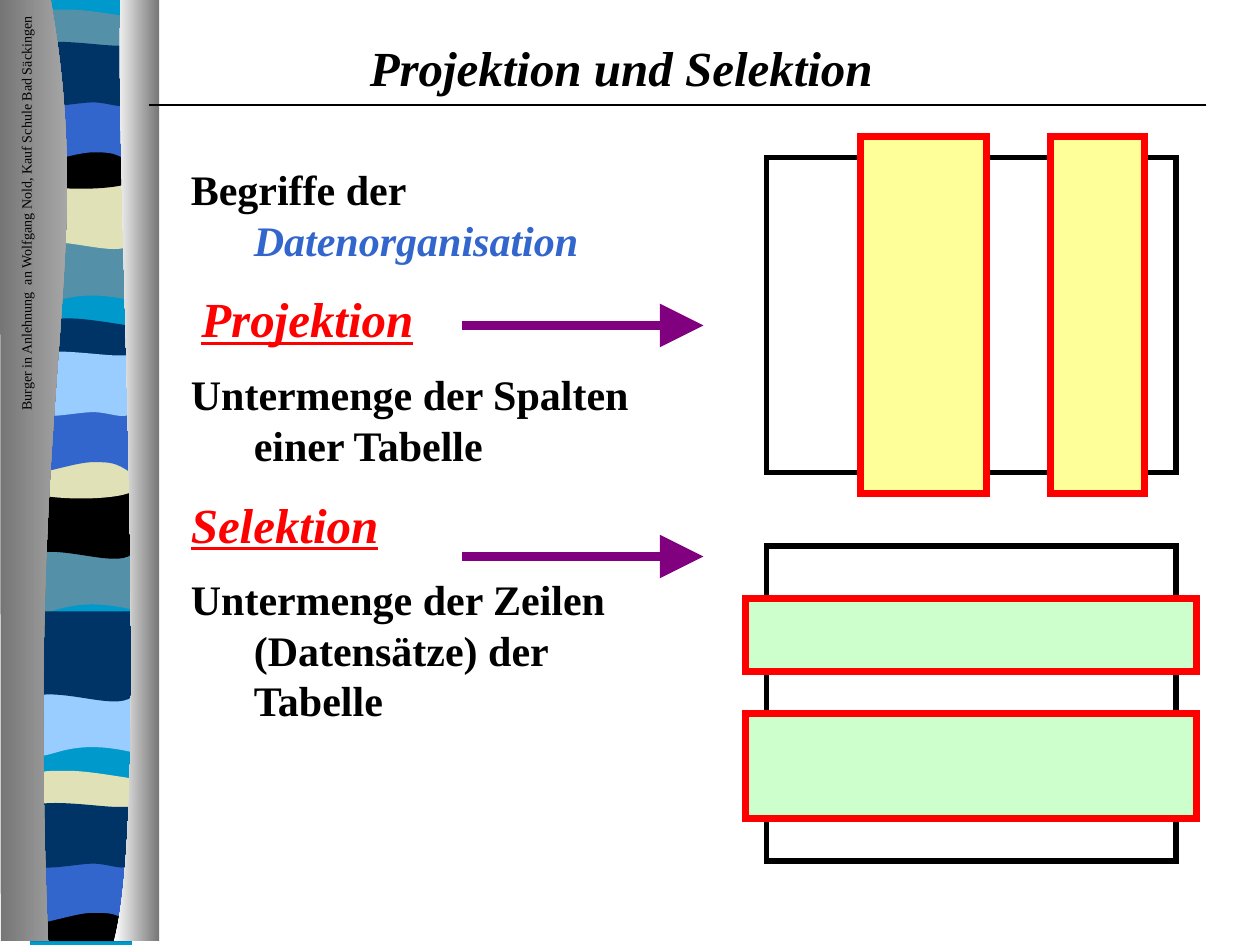
from lxml import etree
from pptx import Presentation
from pptx.dml.color import RGBColor as RGB
from pptx.enum.shapes import MSO_CONNECTOR as CONN, MSO_SHAPE as SHAPE
from pptx.enum.text import PP_ALIGN as ALIGN
from pptx.oxml.ns import qn
from pptx.util import Pt

C = {"black": "000000", "cyan": "0099CC", "slate": "5490A8", "sand": "E1E1B7",
     "blue": "3366CC", "navy": "003366", "sky": "99CCFF", "red": "FF0000",
     "purple": "800080", "yellow": "FFFF99", "green": "CCFFCC",
     "white": "FFFFFF", "grey": "767676", "silver": "BEBEBE"}

prs = Presentation()
prs.slide_width, prs.slide_height = Pt(720), Pt(540)
s = prs.slides.add_slide(prs.slide_layouts[6])


def add_text(p, text, size=24, color="black", bold=True, italic=False, underline=False):
    r = p.add_run()
    r.text = text
    f = r.font
    f.name, f.size, f.color.rgb = "Times New Roman", Pt(size), RGB.from_string(C[color])
    f.bold, f.italic, f.underline = bold, italic, underline


def add_outline(steps, dx=0, dy=0, sx=1, sy=1):
    """Steps of two numbers are corners, steps of six are Bezier curves."""
    pts = [(Pt(dx + sx * x), Pt(dy + sy * y))
           for step in steps for x, y in zip(step[::2], step[1::2])]
    fb = s.shapes.build_freeform(*pts[0])
    fb.add_line_segments(pts[1:], close=True)
    sp = fb.convert_to_shape()
    # Join the three points of each curve into one Bezier segment
    segments = iter(list(sp._element.iter(qn("a:lnTo"))))
    for step in steps[1:]:
        first = next(segments)
        if len(step) == 6:
            first.tag = qn("a:cubicBezTo")
            for _ in range(2):
                seg = next(segments)
                first.append(seg[0])
                seg.getparent().remove(seg)
    sp.shadow.inherit = False
    sp.line.fill.background()
    return sp


# Ribbon of coloured waves
outlines = {
    "dip": [(84, 0), (84, 34), (25.5, 27.5, 14, 39.5, 0, 34), (0, 0)],
    "swell": [(84, 0), (84, 34), (70, 39.5, 26, 30, 0, 34), (0, 0)],
    "hump": [(84, 0), (84, 17.5), (70, 20.5, 14, 20.5, 0, 17.5), (0, 0),
             (5, -3.5, 18.5, -3, 32.5, -3), (47, -3, 73.5, -0.7, 84, 0)],
    "sag": [(84, 0), (84, 24), (70, 27.5, 14.5, 27.5, 0, 24), (0, 0),
            (52, 3.5, 67, 0, 84, 0)],
    "floor": [(84, 0), (84, 19), (0, 19), (0, 0), (52, 2.5, 67, 0, 84, 0)],
    "arch": [(84, 0), (84, 34), (71, 29.5, 66, 29.5, 52, 29.5),
             (38, 29.5, 13, 34, 0, 34), (0, 0)],
    "ripple": [(84, 0), (84, 22.5), (79, 26, 66, 22.5, 52, 22.5),
               (38, 22.5, 8.5, 26, 0, 22.5), (0, 0), (12, -3.5, 57.5, 0, 71, 0),
               (85.5, 0, 82, 0, 84, 0)],
    "base": [(84, 0), (84, 375), (0, 375), (0, 0)],
}
bands = [
    ("base", 0, "cyan"),
    ("dip", 122.8, "slate"), ("swell", 90.8, "sand"), ("hump", 9.8, "slate"),
    ("sag", 69.5, "black"), ("arch", 44.6, "blue"), ("ripple", 26.1, "navy"),
    ("dip", 299.3, "slate"), ("swell", 267.8, "black"), ("hump", 186.3, "navy"),
    ("sag", 246.5, "sand"), ("arch", 221.6, "blue"), ("ripple", 203.1, "sky"),
    ("dip", 380.8, "sky"), ("swell", 349.3, "navy"), ("hump", 444.8, "sand"),
    ("floor", 510.5, "black"), ("arch", 479.1, "blue"), ("ripple", 461.1, "navy"),
]
for name, y, color in bands:
    sp = add_outline(outlines[name], 17.3, y, 0.69, 1.44)
    sp.fill.solid()
    sp.fill.fore_color.rgb = RGB.from_string(C[color])

# Grey curtains beside the ribbon
curtains = [
    ([(29, 0), (56, 154, 14, 211, 27.5, 538), (0.5, 538), (0, 0)], "grey", "silver"),
    ([(69, 0), (65, 88, 87, 464, 65, 538), (91, 538), (91, 0)], "white", "grey"),
]
for steps, start, end in curtains:
    sp = add_outline(steps)
    sp.fill.gradient()
    sp.fill.gradient_angle = 0
    for stop, color, pos in zip(sp.fill.gradient_stops, (start, end), (0, 1)):
        stop.color.rgb = RGB.from_string(C[color])
        stop.position = pos

# Credit and title
labels = [
    ("Burger in Anlehnung  an Wolfgang Nold, Kauf Schule Bad Säckingen",
     (-105, 113.5, 240, 17), 270, dict(size=8, bold=False)),
    ("Projektion und Selektion", (204, 18, 302, 40), 0, dict(size=28, italic=True)),
]
for text, box, angle, style in labels:
    sp = s.shapes.add_textbox(*map(Pt, box))
    sp.rotation = angle
    sp.text_frame.word_wrap = False
    p = sp.text_frame.paragraphs[0]
    p.alignment = ALIGN.CENTER
    add_text(p, text, **style)

# Definitions
term = dict(size=28, color="red", italic=True, underline=True)
paragraphs = [
    [("Begriffe der ", {}), ("Datenorganisation", dict(color="blue", italic=True))],
    [("\u00a0", {}), ("Projektion", term)],
    [("Untermenge der Spalten einer Tabelle", {})],
    [("Selektion", term)],
    [("Untermenge der Zeilen (Datensätze) der Tabelle", {})],
]
tf = s.shapes.add_textbox(Pt(102), Pt(90), Pt(282), Pt(382)).text_frame
tf.word_wrap = True
for i, runs in enumerate(paragraphs):
    p = tf.paragraphs[0] if i == 0 else tf.add_paragraph()
    p.space_before = Pt(0 if i == 0 else runs[-1][1].get("size", 24) / 2)
    pPr = p._p.get_or_add_pPr()
    pPr.set("marL", str(Pt(36)))
    pPr.set("indent", str(Pt(-36)))
    for text, style in runs:
        add_text(p, text, **style)

# Tables with chosen columns and rows
boxes = [
    (438, 90, 234, 180, None), (492, 78, 72, 204, "yellow"), (600, 78, 54, 204, "yellow"),
    (438, 312, 234, 180, None), (426, 342, 258, 42, "green"), (426, 408, 258, 60, "green"),
]
for x, y, w, h, fill in boxes:
    sp = s.shapes.add_shape(SHAPE.RECTANGLE, Pt(x), Pt(y), Pt(w), Pt(h))
    sp.shadow.inherit = False
    sp.line.color.rgb = RGB.from_string(C["red" if fill else "black"])
    sp.line.width = Pt(4 if fill else 3)
    etree.SubElement(sp.line._get_or_add_ln(), qn("a:miter"), lim="800000")
    if fill:
        sp.fill.solid()
        sp.fill.fore_color.rgb = RGB.from_string(C[fill])
    else:
        sp.fill.background()

# Title rule and arrows
lines = [(85, 689, 60, "black", 1), (264, 402, 186, "purple", 5), (264, 402, 318, "purple", 5)]
for x1, x2, y, color, width in lines:
    ln = s.shapes.add_connector(CONN.STRAIGHT, Pt(x1), Pt(y), Pt(x2), Pt(y))
    ln.line.color.rgb = RGB.from_string(C[color])
    ln.line.width = Pt(width)
    if color == "purple":
        etree.SubElement(ln.line._get_or_add_ln(), qn("a:tailEnd"),
                         type="triangle", w="lg", len="lg")
    etree.SubElement(ln._element.spPr, qn("a:effectLst"))

prs.save("out.pptx")
